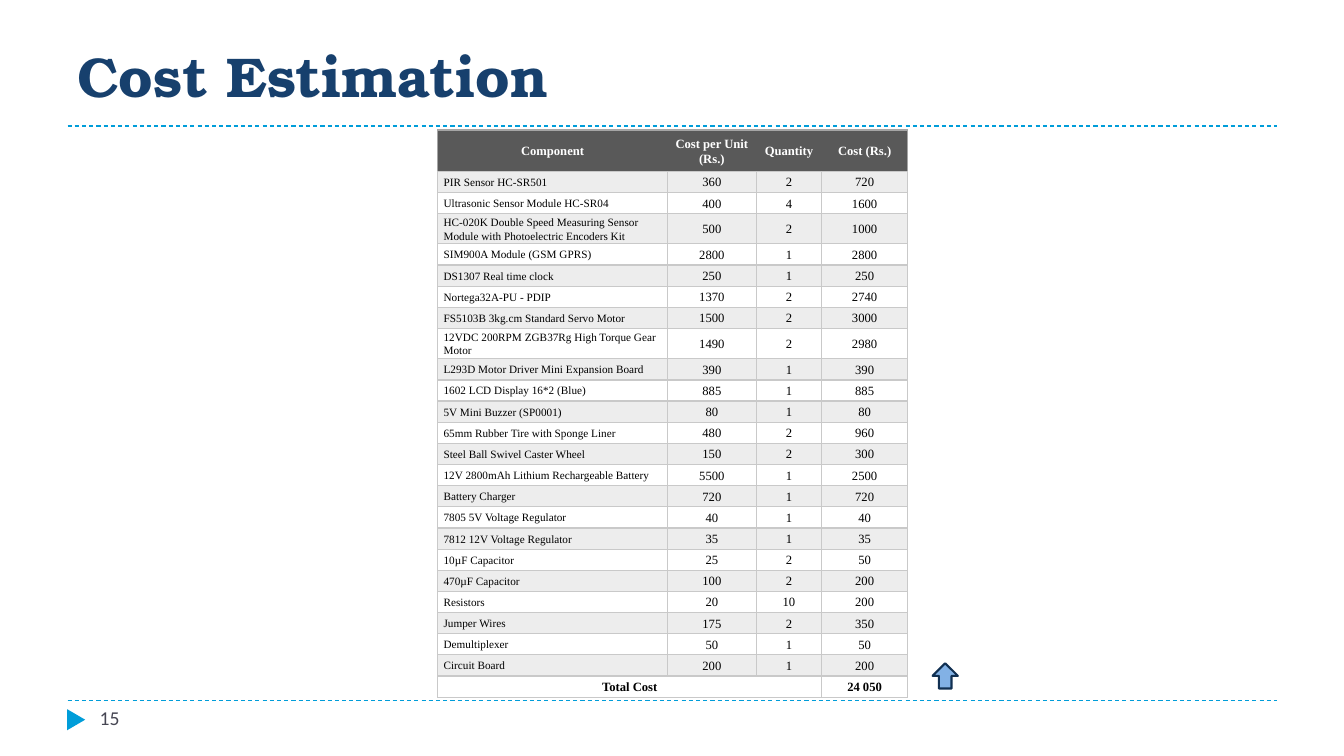
from dataclasses import dataclass
from lxml.etree import SubElement
from pptx import Presentation
from pptx.dml.color import RGBColor
from pptx.enum.dml import MSO_LINE_DASH_STYLE as Dash
from pptx.enum.shapes import MSO_CONNECTOR as Connector, MSO_SHAPE as Preset
from pptx.enum.text import MSO_ANCHOR as Anchor, PP_ALIGN as Align
from pptx.oxml.ns import qn
from pptx.util import Inches, Pt


@dataclass(frozen=True)
class Theme:
    accent: str = "009DD9"
    title: str = "17406D"
    number: str = "464653"
    header: str = "595959"
    header_border: str = "A5A5A5"
    border: str = "C9C9C9"
    band: str = "EDEDED"
    white: str = "FFFFFF"
    black: str = "000000"
    arrow: str = "82B1E5"
    arrow_line: str = "113052"
    title_font: str = "TeX Gyre Bonum"
    number_font: str = "Calibri"
    table_font: str = "Times New Roman"
    title_size: int = 40
    number_size: int = 14
    cell_size: int = 9
    component_size: int = 8


THEME = Theme()
HEADERS = ["Component", "Cost per Unit\n(Rs.)", "Quantity", "Cost (Rs.)"]
COMPONENTS = [
    ("PIR Sensor HC-SR501", 360, 2, 720),
    ("Ultrasonic Sensor Module HC-SR04", 400, 4, 1600),
    ("HC-020K Double Speed Measuring Sensor Module with Photoelectric Encoders Kit", 500, 2, 1000),
    ("SIM900A Module (GSM GPRS)", 2800, 1, 2800),
    ("DS1307 Real time clock", 250, 1, 250),
    ("Nortega32A-PU - PDIP", 1370, 2, 2740),
    ("FS5103B 3kg.cm Standard Servo Motor", 1500, 2, 3000),
    ("12VDC 200RPM ZGB37Rg High Torque Gear Motor", 1490, 2, 2980),
    ("L293D Motor Driver Mini Expansion Board", 390, 1, 390),
    ("1602 LCD Display 16*2 (Blue)", 885, 1, 885),
    ("5V Mini Buzzer (SP0001)", 80, 1, 80),
    ("65mm Rubber Tire with Sponge Liner", 480, 2, 960),
    ("Steel Ball Swivel Caster Wheel", 150, 2, 300),
    ("12V 2800mAh Lithium Rechargeable Battery", 5500, 1, 2500),
    ("Battery Charger", 720, 1, 720),
    ("7805 5V Voltage Regulator", 40, 1, 40),
    ("7812 12V Voltage Regulator", 35, 1, 35),
    ("10µF Capacitor", 25, 2, 50),
    ("470µF Capacitor", 100, 2, 200),
    ("Resistors", 20, 10, 200),
    ("Jumper Wires", 175, 2, 350),
    ("Demultiplexer", 50, 1, 50),
    ("Circuit Board", 200, 1, 200),
]
COLUMN_WIDTHS = [2.28, 0.88, 0.65, 0.85]
HEADER_HEIGHT, ROW_HEIGHT, TWO_LINE_HEIGHT = 0.41, 0.21, 0.3
TWO_LINE_LENGTH = 42


def color(value):
    return RGBColor.from_string(value)


def style_font(paragraph, name, size, rgb, bold=False):
    font = paragraph.font
    font.name, font.size, font.bold = name, Pt(size), bold
    font.color.rgb = color(rgb)


def add_rule(slide, top):
    rule = slide.shapes.add_connector(
        Connector.STRAIGHT, Inches(0.67), Inches(top), Inches(12.67), Inches(top))
    rule.line.color.rgb = color(THEME.accent)
    rule.line.width = Pt(0.75)
    rule.line.dash_style = Dash.DASH
    SubElement(rule.element.spPr, qn("a:effectLst"))


def add_preset(slide, preset, box, fill, line=None, rotation=0):
    shape = slide.shapes.add_shape(preset, *map(Inches, box))
    shape.shadow.inherit = False
    shape.rotation = rotation
    shape.fill.solid()
    shape.fill.fore_color.rgb = color(fill)
    if line:
        shape.line.color.rgb = color(line)
        shape.line.width = Pt(1.5)
    else:
        shape.line.fill.background()


def add_text(slide, text, box, anchor, *font):
    frame = slide.shapes.add_textbox(*map(Inches, box)).text_frame
    frame.word_wrap = True
    frame.vertical_anchor = anchor
    frame.text = text
    style_font(frame.paragraphs[0], *font)


def set_borders(cell, sides, rgb):
    properties = cell._tc.get_or_add_tcPr()
    for position, side in enumerate(("L", "R", "T", "B")):
        border = properties.makeelement(qn(f"a:ln{side}"), {"w": str(Pt(1))})
        if side in sides:
            fill = SubElement(border, qn("a:solidFill"))
            SubElement(fill, qn("a:srgbClr"), val=rgb)
        else:
            SubElement(border, qn("a:noFill"))
        properties.insert(position, border)


def fill_cell(cell, text, fill, rgb, size=THEME.cell_size, align=Align.CENTER, bold=False):
    cell.fill.solid()
    cell.fill.fore_color.rgb = color(fill)
    cell.vertical_anchor = Anchor.MIDDLE
    cell.margin_left = cell.margin_right = Inches(0.06)
    cell.margin_top = cell.margin_bottom = 0
    cell.text_frame.text = text
    for paragraph in cell.text_frame.paragraphs:
        paragraph.alignment = align
        paragraph.line_spacing = 1.1
        style_font(paragraph, THEME.table_font, size, rgb, bold)


def add_cost_table(slide):
    heights = [HEADER_HEIGHT]
    heights += [TWO_LINE_HEIGHT if len(name) > TWO_LINE_LENGTH else ROW_HEIGHT
                for name, *_ in COMPONENTS]
    heights.append(ROW_HEIGHT)
    table = slide.shapes.add_table(
        len(heights), len(HEADERS), Inches(4.34), Inches(1.29),
        Inches(sum(COLUMN_WIDTHS)), Inches(sum(heights))).table
    for column, width in zip(table.columns, COLUMN_WIDTHS):
        column.width = Inches(width)
    for row, height in zip(table.rows, heights):
        row.height = Inches(height)

    for column, header in enumerate(HEADERS):
        cell = table.cell(0, column)
        fill_cell(cell, header, THEME.header, THEME.white, bold=True)
        outer = {0: "L", len(HEADERS) - 1: "R"}.get(column, "")
        set_borders(cell, "TB" + outer, THEME.header_border)

    for row, (name, *amounts) in enumerate(COMPONENTS, 1):
        fill = THEME.band if row % 2 else THEME.white
        fill_cell(table.cell(row, 0), name, fill, THEME.black, THEME.component_size, Align.LEFT)
        for column, amount in enumerate(amounts, 1):
            fill_cell(table.cell(row, column), str(amount), fill, THEME.black)

    total_row = len(heights) - 1
    table.cell(total_row, 0).merge(table.cell(total_row, 2))
    for column, text in ((0, "Total Cost"), (3, "24 050")):
        fill_cell(table.cell(total_row, column), text, THEME.white, THEME.black, bold=True)
    for row in range(1, len(heights)):
        for column in range(len(HEADERS)):
            set_borders(table.cell(row, column), "LRTB",
                        THEME.border)


def main():
    presentation = Presentation()
    presentation.slide_width, presentation.slide_height = Inches(13.33), Inches(7.5)
    slide = presentation.slides.add_slide(presentation.slide_layouts[6])
    for top in (6.95, 1.25):
        add_rule(slide, top)
    add_preset(slide, Preset.ISOSCELES_TRIANGLE, (0.65, 7.05, 0.21, 0.18), THEME.accent, rotation=90)
    add_text(slide, "15", (0.89, 6.95, 2.89, 0.4), Anchor.TOP,
             THEME.number_font, THEME.number_size, THEME.number)
    add_cost_table(slide)
    add_text(slide, "Cost Estimation", (0.67, 0.25, 12, 1), Anchor.MIDDLE,
             THEME.title_font, THEME.title_size, THEME.title, True)
    add_preset(slide, Preset.UP_ARROW, (9.25, 6.58, 0.25, 0.25), THEME.arrow, THEME.arrow_line)
    presentation.save("out.pptx")


if __name__ == "__main__":
    main()
